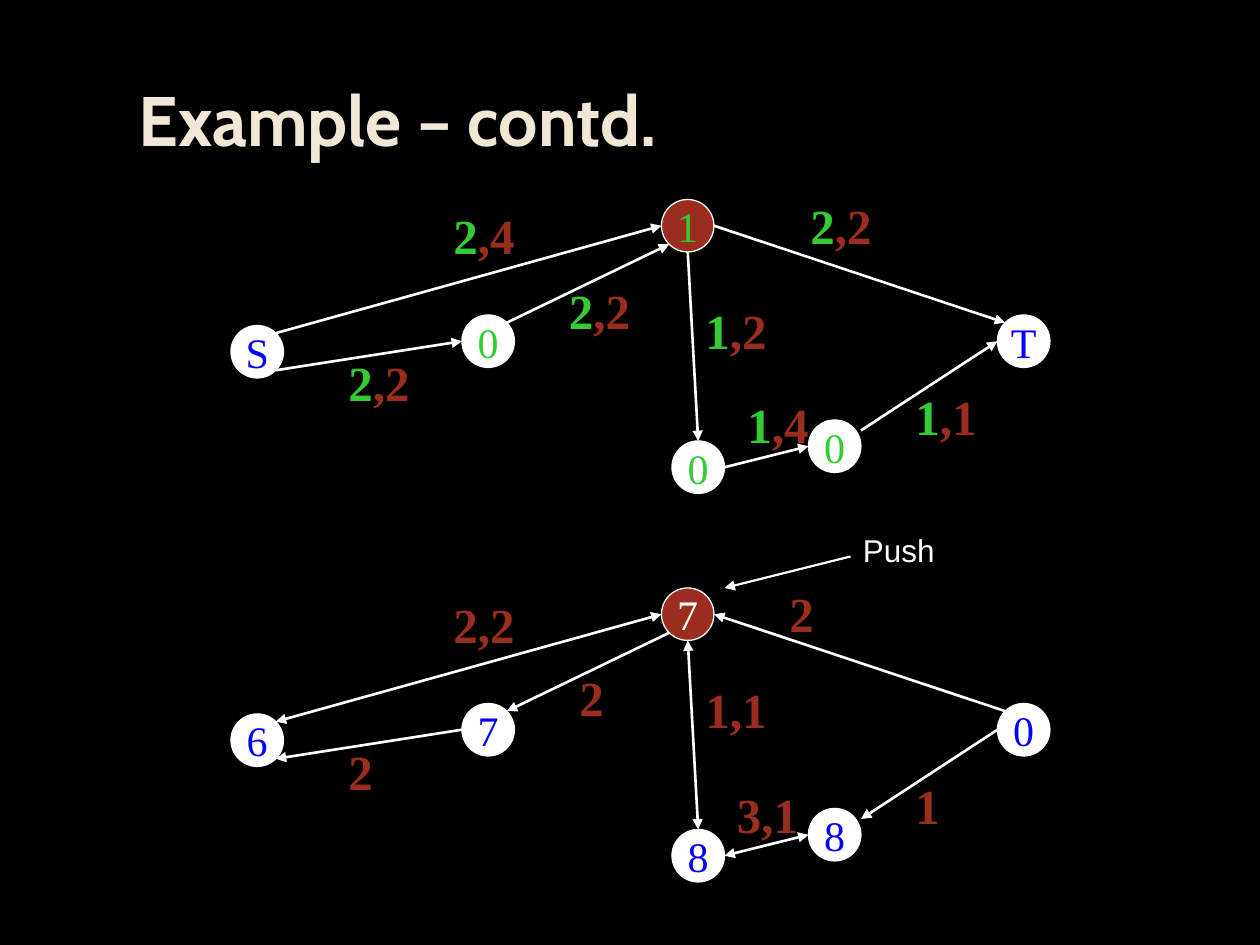
from dataclasses import dataclass

from lxml.etree import SubElement
from pptx import Presentation
from pptx.dml.color import RGBColor
from pptx.enum.shapes import MSO_CONNECTOR, MSO_SHAPE
from pptx.enum.text import MSO_ANCHOR, MSO_AUTO_SIZE, PP_ALIGN
from pptx.oxml.ns import qn
from pptx.util import Pt


@dataclass(frozen=True)
class Theme:
    """Colours, fonts and type sizes of the slide."""
    black: str = "000000"
    white: str = "FFFFFF"
    cream: str = "F0E8D5"
    rust: str = "9B2D1F"
    green: str = "33CC33"
    blue: str = "0000FF"
    title_font: str = "Cabin"
    graph_font: str = "Times New Roman"
    note_font: str = "Arial"
    title_size: int = 40
    label_size: int = 28
    node_size: int = 24
    note_size: int = 18


THEME = Theme()
RADIUS = 15
DIAGONAL = 10.6
GRAPH_OFFSET = 222
CENTRES = {
    "source": (147, 201), "inner": (279, 195), "hub": (393, 129),
    "lower": (399, 267), "bridge": (477, 255), "sink": (585, 195),
}
ANCHORS = {
    "top": (0, -RADIUS), "bottom": (0, RADIUS),
    "left": (-RADIUS, 0), "right": (RADIUS, 0),
    "top left": (-DIAGONAL, -DIAGONAL), "top right": (DIAGONAL, -DIAGONAL),
    "bottom left": (-DIAGONAL, DIAGONAL), "bottom right": (DIAGONAL, DIAGONAL),
    "upper right": (RADIUS, -9),
}
EDGES = [
    ("source", "top right", "hub", "left"),
    ("source", "bottom right", "inner", "left"),
    ("inner", "top right", "hub", "bottom left"),
    ("hub", "bottom", "lower", "top"),
    ("hub", "right", "sink", "top left"),
    ("lower", "right", "bridge", "left"),
    ("bridge", "upper right", "sink", "left"),
]
FLOW_NODES = {
    "source": ("S", THEME.blue), "inner": ("0", THEME.green),
    "hub": ("1", THEME.green), "lower": ("0", THEME.green),
    "bridge": ("0", THEME.green), "sink": ("T", THEME.blue),
}
HEIGHT_NODES = {
    "source": ("6", THEME.blue), "inner": ("7", THEME.blue),
    "hub": ("7", THEME.white), "lower": ("8", THEME.blue),
    "bridge": ("8", THEME.blue), "sink": ("0", THEME.blue),
}
FLOW_LABELS = [
    (252, 114, 54, "2", ",4"), (192, 198, 54, "2", ",2"),
    (318, 157, 54, "2", ",2"), (396, 168, 54, "1", ",2"),
    (456, 108, 54, "2", ",2"), (420, 222, 60, "1", ",4"),
    (516, 217.5, 60, "1", ",1"),
]
RESIDUAL_LABELS = [
    (252, 114, 54, "", "2,2"), (192, 198, 30, "", "2"),
    (324, 156, 30, "", "2"), (396, 163, 54, "", "1,1"),
    (444, 108, 30, "", "2"), (414, 223, 54, "", "3,1"),
    (516, 217.5, 30, "", "1"),
]
FORWARD, BACKWARD, BOTH = ("tailEnd",), ("headEnd",), ("headEnd", "tailEnd")
FLOW_ARROWS = [FORWARD] * len(EDGES)
RESIDUAL_ARROWS = [BOTH, BACKWARD, BACKWARD, BOTH, BACKWARD, BOTH, BACKWARD]


def style_para(para, spans, font, size, bold=False):
    """Fill a paragraph with coloured spans in one font."""
    para.font.name = font
    para.font.size = Pt(size)
    para.font.bold = bold
    for text, color in spans:
        span = para.add_run()
        span.text = text
        span.font.color.rgb = RGBColor.from_string(color)


def add_text(page, bounds, spans, font, size, bold=False, space=0, grow=True):
    """Add a wrapping text box and return it."""
    box = page.shapes.add_textbox(*map(Pt, bounds))
    frame = box.text_frame
    frame.word_wrap = True
    frame.auto_size = MSO_AUTO_SIZE.SHAPE_TO_FIT_TEXT if grow else MSO_AUTO_SIZE.NONE
    para = frame.paragraphs[0]
    para.space_before = Pt(space)
    style_para(para, spans, font, size, bold)
    return box


def add_arrow(page, start, end, heads=FORWARD, width=1.5):
    """Draw a white line with triangles at the given ends."""
    arrow = page.shapes.add_connector(MSO_CONNECTOR.STRAIGHT, *map(Pt, start + end))
    arrow.line.color.rgb = RGBColor.from_string(THEME.white)
    arrow.line.width = Pt(width)
    outline = arrow.line._get_or_add_ln()
    for head in heads:
        SubElement(outline, qn(f"a:{head}"), type="triangle")
    SubElement(arrow._element.spPr, qn("a:effectLst"))


def add_node(page, centre, text, color, fill):
    """Draw a round graph node with its value."""
    left, top = (value - RADIUS for value in centre)
    node = page.shapes.add_shape(
        MSO_SHAPE.OVAL, Pt(left), Pt(top), Pt(2 * RADIUS), Pt(2 * RADIUS))
    node.shadow.inherit = False
    node.fill.solid()
    node.fill.fore_color.rgb = RGBColor.from_string(fill)
    node.line.color.rgb = RGBColor.from_string(THEME.white)
    node.line.width = Pt(0.75)
    frame = node.text_frame
    frame.word_wrap = False
    frame.vertical_anchor = MSO_ANCHOR.MIDDLE
    para = frame.paragraphs[0]
    para.alignment = PP_ALIGN.CENTER
    style_para(para, [(text, color)], THEME.graph_font, THEME.node_size)


def add_graph(page, offset, nodes, arrows, labels):
    """Draw one network, moved down by the offset."""
    centres = {name: (x, y + offset) for name, (x, y) in CENTRES.items()}

    def anchor(name, side):
        """Return the point on the rim of a node."""
        return tuple(a + b for a, b in zip(centres[name], ANCHORS[side]))

    for (origin, exit_side, target, entry_side), heads in zip(EDGES, arrows):
        add_arrow(page, anchor(origin, exit_side), anchor(target, entry_side), heads)
    for name, (text, color) in nodes.items():
        fill = THEME.rust if name == "hub" else THEME.white
        add_node(page, centres[name], text, color, fill)
    for left, top, width, flow, capacity in labels:
        spans = [(flow, THEME.green)] if flow else []
        add_text(page, (left, top + offset, width, 41), spans + [(capacity, THEME.rust)],
                 THEME.graph_font, THEME.label_size, bold=True, space=17.5)


def main():
    """Build the slide and save the deck."""
    deck = Presentation()
    deck.slide_width, deck.slide_height = Pt(720), Pt(540)
    page = deck.slides.add_slide(deck.slide_layouts[6])
    page.background.fill.solid()
    page.background.fill.fore_color.rgb = RGBColor.from_string(THEME.black)
    add_text(page, (72, 40, 612, 72), [("Example – contd.", THEME.cream)],
             THEME.title_font, THEME.title_size, bold=True, grow=False)
    add_graph(page, 0, FLOW_NODES, FLOW_ARROWS, FLOW_LABELS)
    add_graph(page, GRAPH_OFFSET, HEIGHT_NODES, RESIDUAL_ARROWS, RESIDUAL_LABELS)
    add_text(page, (486, 300, 66, 29), [("Push", THEME.white)],
             THEME.note_font, THEME.note_size)
    add_arrow(page, (486, 318), (414, 336), width=1.25)
    deck.save("out.pptx")


if __name__ == "__main__":
    main()
